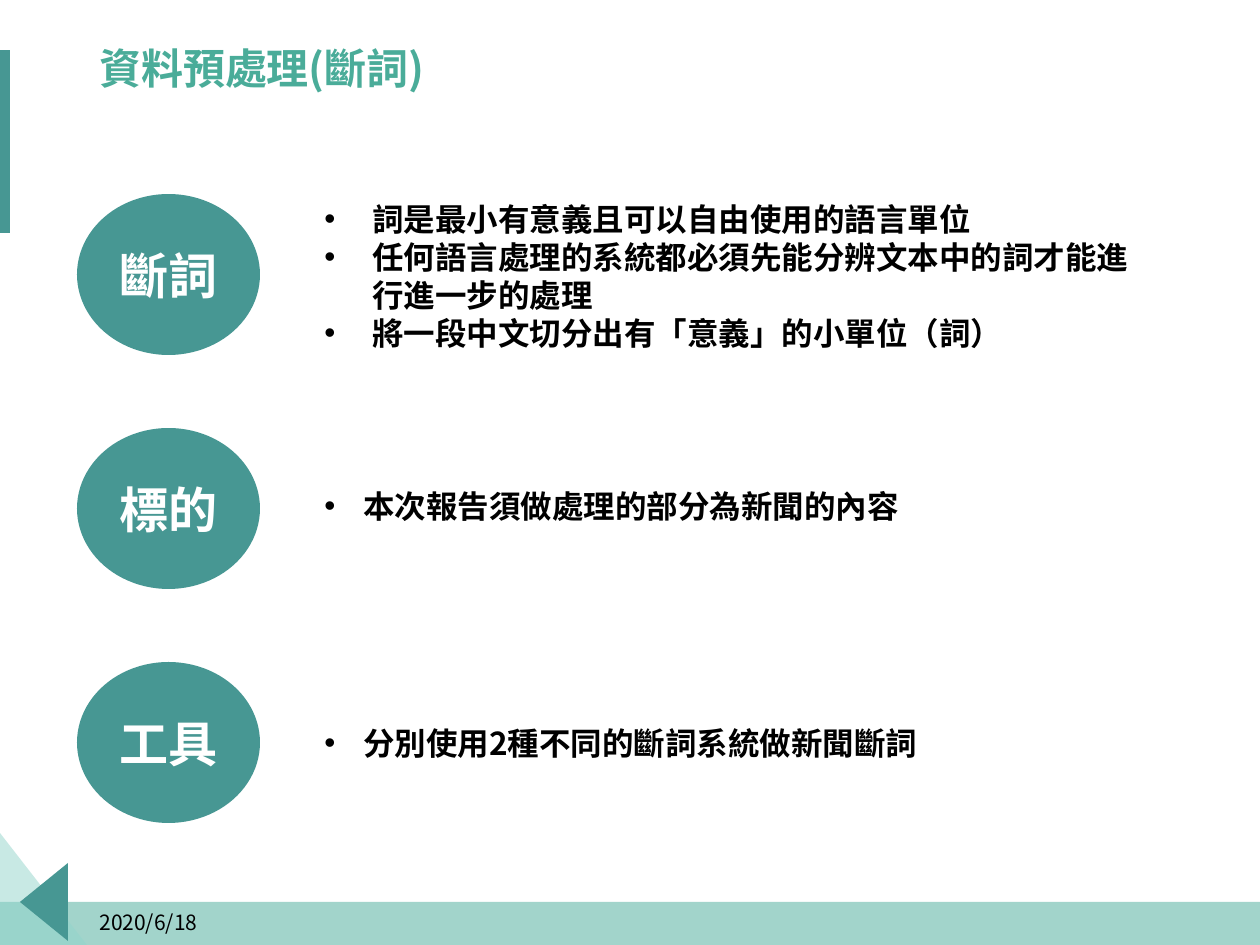
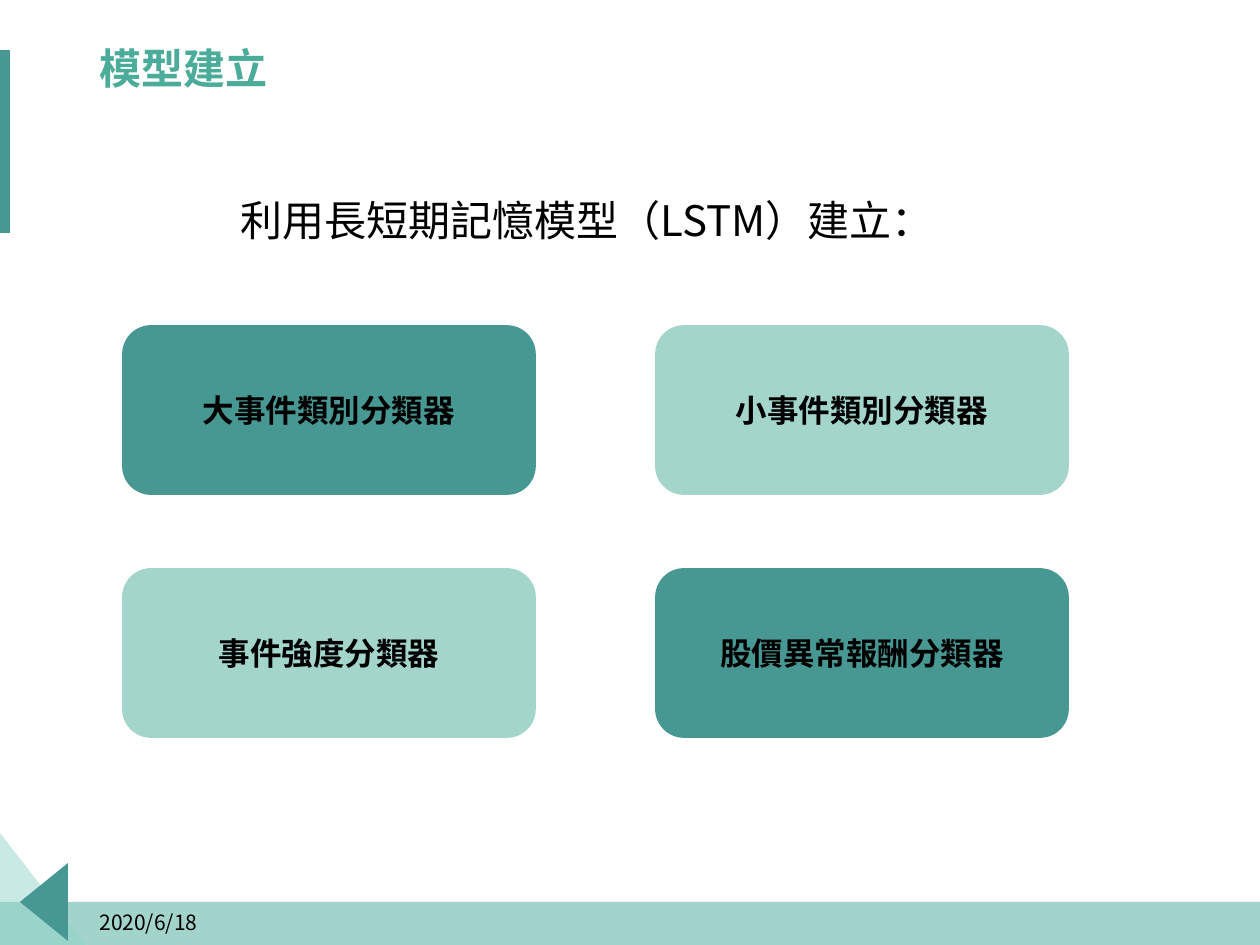
from lxml.etree import SubElement
from pptx import Presentation
from pptx.dml.color import RGBColor
from pptx.enum.shapes import MSO_SHAPE
from pptx.enum.text import MSO_ANCHOR, MSO_AUTO_SIZE, PP_ALIGN
from pptx.oxml.ns import qn
from pptx.util import Pt

PX = 7257  # EMU per px, 126 px to the inch

TEAL = RGBColor(0x47, 0x97, 0x93)
GREEN = RGBColor(0x4A, 0xAC, 0x99)
AQUA = RGBColor(0x92, 0xD4, 0xCB)
MINT = RGBColor(0xA3, 0xD5, 0xCB)
BLACK = RGBColor(0, 0, 0)
WHITE = RGBColor(0xFF, 0xFF, 0xFF)
SC_FONT = "Noto Sans CJK SC"
TC_FONT = "Noto Sans CJK TC"


def paint(shape, color, opacity=100):
    shape.shadow.inherit = False
    shape.fill.solid()
    shape.fill.fore_color.rgb = color
    shape.line.fill.background()
    if opacity < 100:
        tint = shape.fill._xPr.find(qn("a:solidFill"))[0]
        SubElement(tint, qn("a:alpha"), val=str(opacity * 1000))


def write(paragraph, text, size, color=BLACK, bold=False, font=TC_FONT):
    run = paragraph.add_run()
    run.text = text
    run.font.size = Pt(size)
    run.font.bold = bold
    run.font.color.rgb = color
    run.font.name = font
    SubElement(run._r.get_or_add_rPr(), qn("a:ea"), typeface=font)
    return run


prs = Presentation()
prs.slide_width = 1260 * PX
prs.slide_height = 945 * PX

# Shared frame: footer band, corner triangles, side bar, title, date
corner_triangles = [
    ([(0, 833), (87, 945), (0, 945)], AQUA, 50),
    ([(68, 863), (68, 941), (20, 902)], TEAL, 100),
]
slides = []
for heading, heading_font in [("資料預處理(斷詞)", SC_FONT), ("模型建立", TC_FONT)]:
    slide = prs.slides.add_slide(prs.slide_layouts[5])
    slides.append(slide)

    footer_band = slide.shapes.add_shape(
        MSO_SHAPE.RECTANGLE, 0, 902 * PX, 1260 * PX, 43 * PX)
    paint(footer_band, GREEN, 51)
    for corners, color, opacity in corner_triangles:
        outline = slide.shapes.build_freeform(*corners[0], scale=PX)
        outline.add_line_segments(corners[1:], close=True)
        paint(outline.convert_to_shape(), color, opacity)
    side_bar = slide.shapes.add_shape(
        MSO_SHAPE.RECTANGLE, 0, 50 * PX, 10 * PX, 183 * PX)
    paint(side_bar, TEAL)

    title = slide.shapes.title
    title.left, title.top = 87 * PX, 29 * PX
    title.width, title.height = 1086 * PX, 83 * PX
    title.text_frame.auto_size = MSO_AUTO_SIZE.NONE
    title.text_frame.vertical_anchor = MSO_ANCHOR.MIDDLE
    title_line = title.text_frame.paragraphs[0]
    title_line.alignment = PP_ALIGN.LEFT
    title_line.line_spacing = 0.9
    title_run = write(title_line, heading, 24, GREEN, True, heading_font)
    title_run._r.get_or_add_rPr().set("spc", "-10")

    date = slide.shapes.add_textbox(87 * PX, 897 * PX, 284 * PX, 50 * PX).text_frame
    date.word_wrap = True
    date.vertical_anchor = MSO_ANCHOR.MIDDLE
    write(date.paragraphs[0], "2020/6/18", 12)

segmentation_slide, model_slide = slides

# Slide 1: topic circles, each with its bullet points
# topic, points top, points width, points height, bullet indent, points
topics = [
    ("斷詞", 194, 830, 165, 48, [
        "詞是最小有意義且可以自由使用的語言單位",
        "任何語言處理的系統都必須先能分辨文本中的詞才能進行進一步的處理",
        "將一段中文切分出有「意義」的小單位（詞）",
    ]),
    ("標的", 481, 806, 89, 39, ["本次報告須做處理的部分為新聞的內容"]),
    ("工具", 718, 624, 89, 39, ["分別使用2種不同的斷詞系統做新聞斷詞"]),
]
for row, (topic, top, width, height, indent, points) in enumerate(topics):
    circle = segmentation_slide.shapes.add_shape(
        MSO_SHAPE.OVAL, 77 * PX, (194 + 234 * row) * PX, 183 * PX, 161 * PX)
    paint(circle, TEAL)
    circle.text_frame.vertical_anchor = MSO_ANCHOR.MIDDLE
    topic_line = circle.text_frame.paragraphs[0]
    topic_line.alignment = PP_ALIGN.CENTER
    write(topic_line, topic, 28, WHITE, True, SC_FONT)

    details = segmentation_slide.shapes.add_textbox(
        312 * PX, top * PX, width * PX, height * PX).text_frame
    details.word_wrap = True
    for number, point in enumerate(points):
        point_line = details.add_paragraph() if number else details.paragraphs[0]
        properties = point_line._p.get_or_add_pPr()
        properties.set("marL", str(indent * PX))
        properties.set("indent", str(-indent * PX))
        SubElement(properties, qn("a:buFont"), typeface="Arial")
        SubElement(properties, qn("a:buChar"), char="•")
        write(point_line, point, 18, bold=True)

# Slide 2: lead-in and a checkerboard of classifiers
lead_in = model_slide.shapes.add_textbox(
    228 * PX, 188 * PX, 771 * PX, 63 * PX).text_frame
lead_in.word_wrap = True
write(lead_in.paragraphs[0], "利用長短期記憶模型（LSTM）建立：", 24)

classifiers = ["大事件類別分類器", "小事件類別分類器",
               "事件強度分類器", "股價異常報酬分類器"]
for index, classifier in enumerate(classifiers):
    row, column = divmod(index, 2)
    color = MINT if (row + column) % 2 else TEAL
    card = model_slide.shapes.add_shape(
        MSO_SHAPE.ROUNDED_RECTANGLE,
        (123 + 533 * column) * PX, (326 + 243 * row) * PX, 412 * PX, 168 * PX)
    paint(card, color)
    card.line.color.rgb = color
    card.line.width = Pt(1)
    card.text_frame.vertical_anchor = MSO_ANCHOR.MIDDLE
    card_line = card.text_frame.paragraphs[0]
    card_line.alignment = PP_ALIGN.CENTER
    write(card_line, classifier, 18, bold=True)

prs.save("out.pptx")
